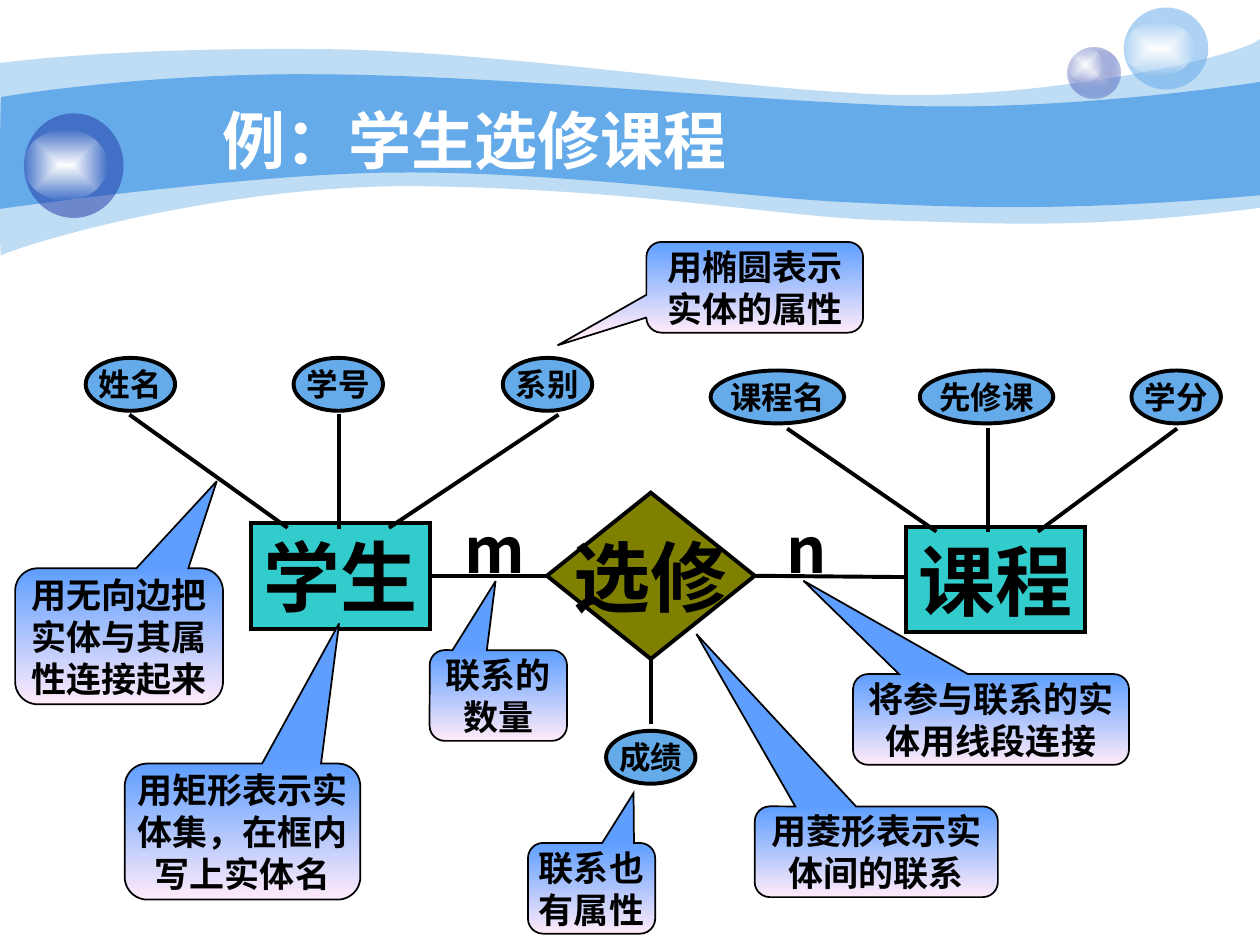
from pptx import Presentation
from pptx.dml.color import RGBColor
from pptx.enum.shapes import MSO_CONNECTOR, MSO_SHAPE
from pptx.enum.text import MSO_ANCHOR, PP_ALIGN
from pptx.oxml import parse_xml
from pptx.oxml.ns import nsdecls, qn
from pptx.util import Inches, Pt

C = {
    "white": "FFFFFF", "black": "000000", "sky": "65AAE9", "navy": "233DA9",
    "lilac": "C7CEE9", "teal": "33CCCC", "olive": "808000",
    "blue": "5E9EFF", "pink": "FFEBFA",
}
BODY, HEAD = "Noto Sans CJK JP", "Noto Sans CJK SC"
NS = nsdecls("a")
CENTRE = '<a:path path="rect"><a:fillToRect l="50000" t="50000" r="50000" b="50000"/></a:path>'
DOWN = '<a:lin ang="5400000" scaled="0"/>'
GLOW = [("white", 100), ("white", 0)]


def paint(sp, colours, direction=CENTRE, line=0):
    sp.shadow.inherit = False
    sp.fill.background()
    marks = [f'<a:srgbClr val="{C[name]}"><a:alpha val="{alpha * 1000}"/></a:srgbClr>'
             for name, alpha in colours]
    if len(marks) == 1:
        xml = f'<a:solidFill {NS}>{marks[0]}</a:solidFill>'
    else:
        xml = (f'<a:gradFill {NS} rotWithShape="1"><a:gsLst>'
               f'<a:gs pos="0">{marks[0]}</a:gs><a:gs pos="100000">{marks[1]}</a:gs>'
               f'</a:gsLst>{direction}</a:gradFill>')
    props = sp._element.spPr
    props.replace(props.find(qn("a:noFill")), parse_xml(xml))
    if line:
        sp.line.color.rgb = RGBColor.from_string(C["black"])
        sp.line.width = Pt(line)
        props.find(qn("a:ln")).append(parse_xml(f'<a:miter {NS} lim="800000"/>'))
    else:
        sp.line.fill.background()


def write(sp, lines, size, wrap=False, inset=(0, 0), font=BODY, colour="black",
          anchor=MSO_ANCHOR.MIDDLE):
    tf = sp.text_frame
    tf.word_wrap = wrap
    tf.vertical_anchor = anchor
    tf.margin_left = tf.margin_right = Inches(inset[0])
    tf.margin_top = tf.margin_bottom = Inches(inset[1])
    for i, text in enumerate(lines):
        p = tf.add_paragraph() if i else tf.paragraphs[0]
        p.alignment = PP_ALIGN.CENTER
        r = p.add_run()
        r.text = text
        r.font.name = font
        r.font.size = Pt(size)
        r.font.bold = True
        r.font.color.rgb = RGBColor.from_string(C[colour])
        r.font._element.find(qn("a:latin")).addnext(
            parse_xml(f'<a:ea {NS} typeface="{font}"/>'))


prs = Presentation()
prs.slide_width, prs.slide_height = Inches(10), Inches(7.5)
s = prs.slides.add_slide(prs.slide_layouts[6])

waves = [
    (41, (0, 0.5), [
        (0.24, 0.47, 1.07, 0.38, 2.47, 0.39), (3.86, 0.39, 5.75, 0.7, 6.99, 0.75),
        (8.22, 0.8, 9.8, 0.47, 10, 0.31), (10, 1.65),
        (8.58, 1.83, 7.87, 1.77, 7.05, 1.75), (6.22, 1.73, 5.15, 1.51, 3.43, 1.48),
        (1.72, 1.44, 0.04, 1.99, 0.01, 2.03), (-0.01, 2.08, 0, 0.75, 0, 0.5)]),
    (100, (0.01, 0.77), [
        (0.02, 0.77, 1.1, 0.58, 2.48, 0.59), (3.86, 0.59, 5.95, 0.8, 7.18, 0.84),
        (8.41, 0.88, 9.76, 0.69, 10, 0.65), (10, 1.55),
        (8.53, 1.68, 7.65, 1.65, 6.82, 1.61), (5.99, 1.58, 4.47, 1.36, 3.17, 1.37),
        (2.03, 1.37, -0.02, 1.66, -0.01, 1.66), (0, 1.66, 0, 0.77, 0.01, 0.77)]),
]
for alpha, start, parts in waves:
    points = [(Inches(x), Inches(y)) for part in parts for x, y in zip(part[::2], part[1::2])]
    outline = s.shapes.build_freeform(Inches(start[0]), Inches(start[1]))
    outline.add_line_segments(points, close=True)
    sp = outline.convert_to_shape()
    segments = iter(list(sp._element.iter(qn("a:lnTo"))))
    for part in parts:
        if len(part) == 6:
            group = [next(segments) for _ in range(3)]
            curve = parse_xml(f'<a:cubicBezTo {NS}/>')
            group[0].addprevious(curve)
            for segment in group:
                curve.append(segment[0])
                segment.getparent().remove(segment)
        else:
            next(segments)
    paint(sp, [("sky", alpha)])

bubbles = [
    (8.47, 0.38, 0.42, 0.4, [("lilac", 100), ("navy", 31)]),
    (8.47, 0.38, 0.28, 0.27, GLOW),
    (8.92, 0.06, 0.67, 0.65, [("sky", 53)]),
    (8.92, 0.17, 0.56, 0.43, GLOW),
    (0.19, 0.9, 0.79, 0.83, [("navy", 53)]),
    (0.19, 1.03, 0.66, 0.56, GLOW),
]
for x, y, w, h, colours in bubbles:
    sp = s.shapes.add_shape(MSO_SHAPE.OVAL, Inches(x), Inches(y), Inches(w), Inches(h))
    paint(sp, colours)

title = s.shapes.add_textbox(Inches(0.43), Inches(0.76), Inches(6.67), Inches(0.7))
write(title, ["例：学生选修课程"], 36, True, (0.1, 0.05), HEAD, "white", MSO_ANCHOR.TOP)

nodes = [
    (MSO_SHAPE.RECTANGLE, 1.99, 4.15, 1.42, 0.84, "teal", "学生"),
    (MSO_SHAPE.RECTANGLE, 7.19, 4.18, 1.42, 0.84, "teal", "课程"),
    (MSO_SHAPE.DIAMOND, 4.34, 3.91, 1.65, 1.32, "olive", "选修"),
]
for kind, x, y, w, h, colour, text in nodes:
    sp = s.shapes.add_shape(kind, Inches(x), Inches(y), Inches(w), Inches(h))
    paint(sp, [(colour, 100)], line=2.25)
    write(sp, [text], 44, inset=(0.1, 0.05))

attributes = [
    (0.68, 2.84, "姓名"), (2.33, 2.84, "学号"), (3.99, 2.84, "系别"),
    (5.64, 2.94, "课程名"), (7.3, 2.94, "先修课"), (8.98, 2.94, "学分"),
    (4.81, 5.8, "成绩"),
]
for x, y, text in attributes:
    w = 0.71 if len(text) == 2 else 1.06
    sp = s.shapes.add_shape(MSO_SHAPE.OVAL, Inches(x), Inches(y), Inches(w), Inches(0.42))
    paint(sp, [("sky", 100)], line=2.25)
    write(sp, [text], 18)

edges = [
    (4.34, 4.57, 3.43, 4.57), (2.69, 3.3, 2.69, 4.18), (2.27, 4.18, 1.04, 3.3),
    (3.1, 4.18, 4.42, 3.3), (7.18, 4.58, 5.99, 4.57), (7.42, 4.21, 6.26, 3.41),
    (8.25, 4.21, 9.33, 3.41), (5.17, 5.22, 5.17, 5.73), (7.84, 3.41, 7.84, 4.21),
]
for x1, y1, x2, y2 in edges:
    edge = s.shapes.add_connector(MSO_CONNECTOR.STRAIGHT, Inches(x1), Inches(y1),
                                  Inches(x2), Inches(y2))
    edge.line.color.rgb = RGBColor.from_string(C["black"])
    edge.line.width = Pt(2.25)
    edge._element.spPr.find(qn("a:ln")).set("cap", "sq")
    edge._element.spPr.append(parse_xml(f'<a:effectLst {NS}/>'))

callouts = [
    (0.99, 6.06, 1.87, 1.08, 0.41, -1.53, ["用矩形表示实体集，在框内写上实体名"]),
    (5.13, 1.92, 1.72, 0.72, -0.91, 0.64, ["用椭圆表示实体的属性"]),
    (0.12, 4.51, 1.65, 1.08, 0.47, -1.14, ["用无向边把实体与其属性连接起来"]),
    (5.99, 6.4, 1.93, 0.72, -0.74, -2.4, ["用菱形表示实体间的联系"]),
    (6.77, 5.35, 2.19, 0.72, -0.68, -1.53, ["将参与联系的实体用线段连接"]),
    (3.41, 5.16, 1.09, 0.72, -0.02, -1.26, ["联系的", "数量"]),
    (4.19, 6.69, 1.01, 0.72, 0.33, -1.05, ["联系也有属性"]),
]
for x, y, w, h, tip_x, tip_y, lines in callouts:
    sp = s.shapes.add_shape(MSO_SHAPE.ROUNDED_RECTANGULAR_CALLOUT, Inches(x), Inches(y),
                            Inches(w), Inches(h))
    sp.adjustments[0], sp.adjustments[1] = tip_x, tip_y
    paint(sp, [("blue", 100), ("pink", 100)], DOWN, 1)
    write(sp, lines, 20, True)

for x, text in [(3.76, "m"), (6.24, "n")]:
    sp = s.shapes.add_shape(MSO_SHAPE.RECTANGLE, Inches(x), Inches(4.21),
                            Inches(0.33), Inches(0.29))
    sp.shadow.inherit = False
    sp.fill.background()
    sp.line.fill.background()
    write(sp, [text], 36, inset=(0.1, 0.05))

prs.save("out.pptx")
